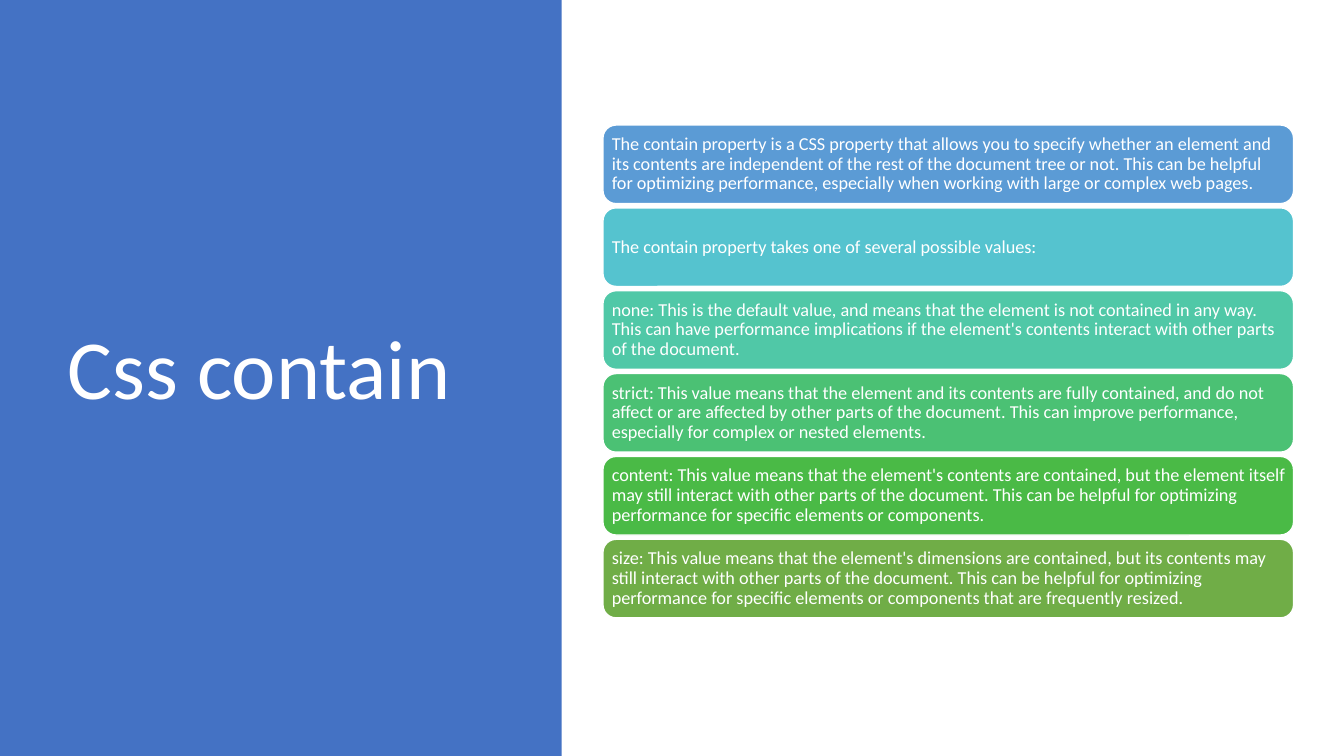
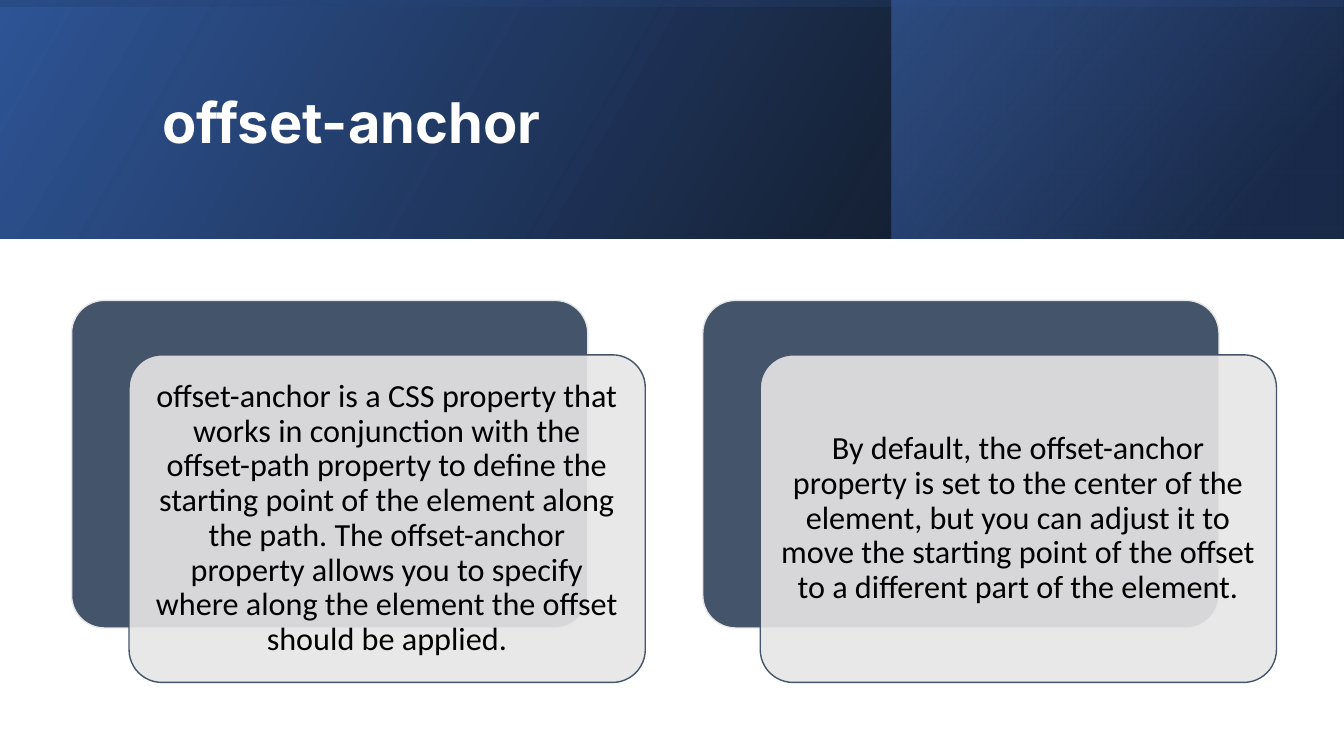
import pptx
import pptx.dml.color
import pptx.enum.shapes
import pptx.enum.text
import pptx.oxml
import pptx.oxml.ns
import pptx.util
from pptx.dml.color import RGBColor
from pptx.util import Inches

WHITE = RGBColor(0xFF, 0xFF, 0xFF)
BLACK = RGBColor(0x00, 0x00, 0x00)
BLUE = RGBColor(0x44, 0x72, 0xC4)
DEEP_BLUE = RGBColor(0x2F, 0x55, 0x97)
NAVY = RGBColor(0x20, 0x38, 0x64)
SLATE = RGBColor(0x44, 0x54, 0x6A)
PALE_GRAY = RGBColor(0xE7, 0xE6, 0xE6)
BAR_COLORS = [
    RGBColor(0x5B, 0x9B, 0xD5),
    RGBColor(0x55, 0xC3, 0xCF),
    RGBColor(0x50, 0xC8, 0xA7),
    RGBColor(0x4B, 0xC1, 0x74),
    RGBColor(0x4A, 0xBA, 0x46),
    RGBColor(0x70, 0xAD, 0x47),
]
RECTANGLE = pptx.enum.shapes.MSO_SHAPE.RECTANGLE
ROUNDED = pptx.enum.shapes.MSO_SHAPE.ROUNDED_RECTANGLE
LEFT = pptx.enum.text.PP_ALIGN.LEFT
CENTER = pptx.enum.text.PP_ALIGN.CENTER


def add_block(slide, kind, box, color, outline=None):
    block = slide.shapes.add_shape(kind, *[Inches(length) for length in box])
    block.shadow.inherit = False
    block.fill.solid()
    block.fill.fore_color.rgb = color
    if outline is None:
        block.line.fill.background()
    else:
        block.line.color.rgb = outline
        block.line.width = pptx.util.Pt(1)
    return block


def set_text(shape, text, font_name, size, color, align, inset):
    frame = shape.text_frame
    frame.text = text
    frame.word_wrap = True
    frame.auto_size = pptx.enum.text.MSO_AUTO_SIZE.NONE
    frame.vertical_anchor = pptx.enum.text.MSO_ANCHOR.MIDDLE
    frame.margin_left = frame.margin_right = Inches(inset)
    frame.margin_top = frame.margin_bottom = Inches(inset)
    paragraph = frame.paragraphs[0]
    paragraph.alignment = align
    paragraph.line_spacing = 0.9
    paragraph.font.name = font_name
    paragraph.font.size = pptx.util.Pt(size)
    paragraph.font.color.rgb = color


deck = pptx.Presentation()
deck.slide_width = Inches(13.33)
deck.slide_height = Inches(7.5)
title_only = deck.slide_layouts[5]
contain_slide = deck.slides.add_slide(title_only)
anchor_slide = deck.slides.add_slide(title_only)

add_block(contain_slide, RECTANGLE, (0, 0, 5.57, 7.5), BLUE)
contain_points = [
    "The contain property is a CSS property that allows you to specify whether an element and its contents are independent of the rest of the document tree or not. This can be helpful for optimizing performance, especially when working with large or complex web pages.",
    "The contain property takes one of several possible values:",
    "none: This is the default value, and means that the element is not contained in any way. This can have performance implications if the element's contents interact with other parts of the document.",
    "strict: This value means that the element and its contents are fully contained, and do not affect or are affected by other parts of the document. This can improve performance, especially for complex or nested elements.",
    "content: This value means that the element's contents are contained, but the element itself may still interact with other parts of the document. This can be helpful for optimizing performance for specific elements or components.",
    "size: This value means that the element's dimensions are contained, but its contents may still interact with other parts of the document. This can be helpful for optimizing performance for specific elements or components that are frequently resized.",
]
for index, (point, color) in enumerate(zip(contain_points, BAR_COLORS)):
    bar = add_block(contain_slide, ROUNDED, (5.98, 1.24 + 0.822 * index, 6.85, 0.78), color, WHITE)
    set_text(bar, point, "Calibri", 13, WHITE, LEFT, 0.09 - 0.04)
    bar.text_frame.margin_left = bar.text_frame.margin_right = Inches(0.05)

header_bands = [
    ((0, 0, 13.33, 2.37), 0, 330, [(0, BLACK, 96), (100, DEEP_BLUE, 100)]),
    ((8.84, 0, 4.48, 2.37), 0, 320, [(19, NAVY, 68), (100, BLUE, 48)]),
    ((5.48, -5.48, 2.37, 13.33), 270, 350, [(23, DEEP_BLUE, 16), (99, BLACK, 45)]),
]
for box, rotation, angle, stops in header_bands:
    band = add_block(anchor_slide, RECTANGLE, box, DEEP_BLUE)
    band.rotation = rotation
    properties = band._element.spPr
    properties.find(pptx.oxml.ns.qn("a:xfrm")).set("flipH", "1")
    stop_xml = "".join(
        f'<a:gs pos="{position * 1000}"><a:srgbClr val="{color}">'
        f'<a:alpha val="{opacity * 1000}"/></a:srgbClr></a:gs>'
        for position, color, opacity in stops
    )
    gradient = pptx.oxml.parse_xml(
        f'<a:gradFill {pptx.oxml.ns.nsdecls("a")} rotWithShape="1"><a:gsLst>{stop_xml}</a:gsLst>'
        f'<a:lin ang="{angle * 60000}" scaled="0"/></a:gradFill>'
    )
    properties.replace(properties.find(pptx.oxml.ns.qn("a:solidFill")), gradient)

anchor_points = [
    "offset-anchor is a CSS property that works in conjunction with the offset-path property to define the starting point of the element along the path. The offset-anchor property allows you to specify where along the element the offset should be applied.",
    "By default, the offset-anchor property is set to the center of the element, but you can adjust it to move the starting point of the offset to a different part of the element.",
]
for index, point in enumerate(anchor_points):
    left = 0.71 + 6.26 * index
    backing = add_block(anchor_slide, ROUNDED, (left, 2.98, 5.12, 3.25), SLATE, PALE_GRAY)
    card = add_block(anchor_slide, ROUNDED, (left + 0.57, 3.52, 5.12, 3.25), PALE_GRAY, SLATE)
    backing.adjustments[0] = card.adjustments[0] = 0.1
    card_color = card._element.spPr.find(pptx.oxml.ns.qn("a:solidFill"))[0]
    card_color.append(pptx.oxml.parse_xml(f'<a:alpha {pptx.oxml.ns.nsdecls("a")} val="90000"/>'))
    set_text(card, point, "Calibri", 23, BLACK, CENTER, 0.1)

titles = [
    (contain_slide, "Css contain", (0.57, 0.68, 4.16, 6.02), "Calibri", 60, False),
    (anchor_slide, "offset-anchor", (1.51, 0.38, 10.63, 1.72), "Inter", 40, True),
]
for slide, heading, box, font_name, size, bold in titles:
    title = slide.shapes.title
    title.left, title.top, title.width, title.height = [Inches(length) for length in box]
    set_text(title, heading, font_name, size, WHITE, LEFT, 0.1)
    title.text_frame.paragraphs[0].font.bold = bold
    slide.shapes._spTree.append(title._element)

deck.save("out.pptx")
